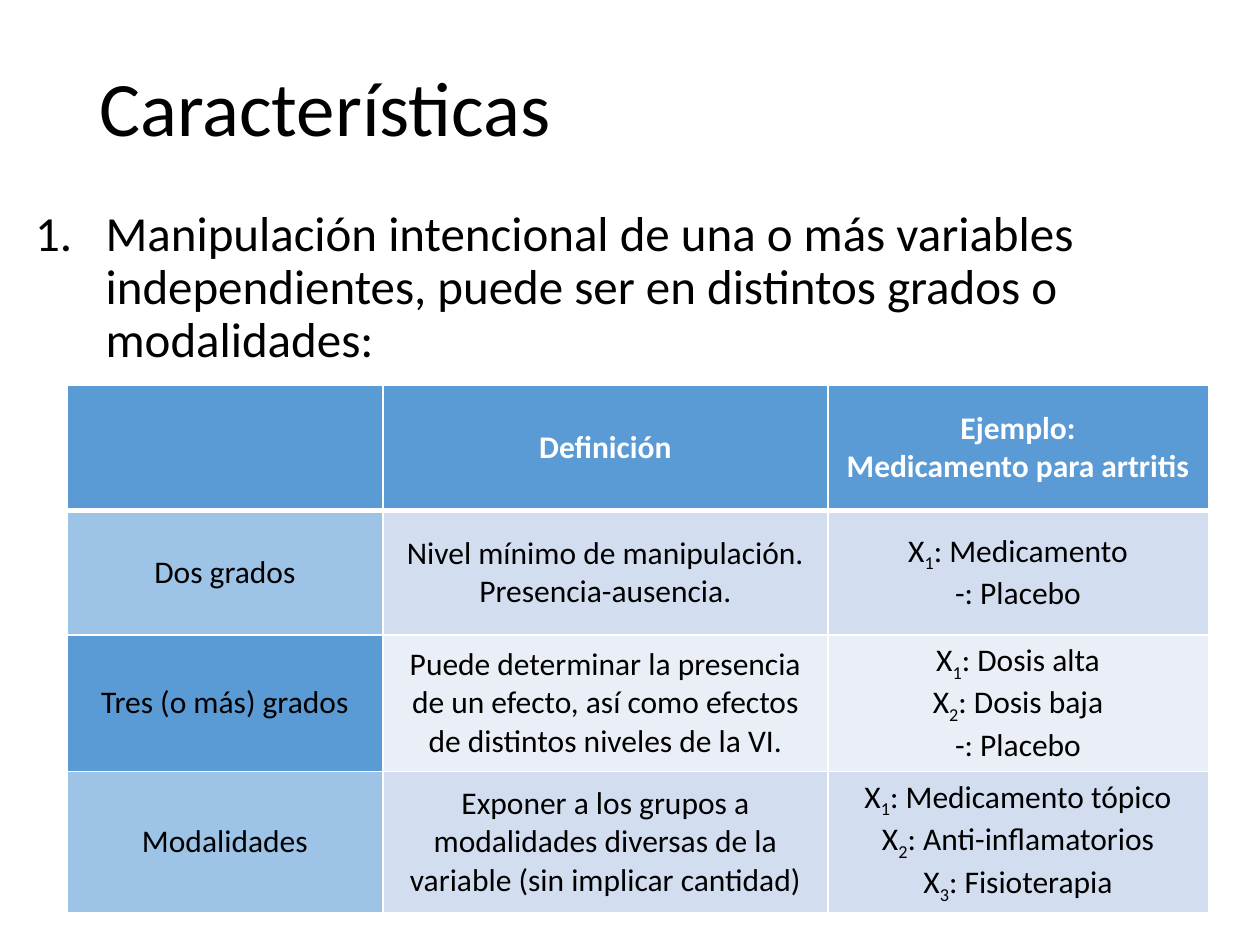
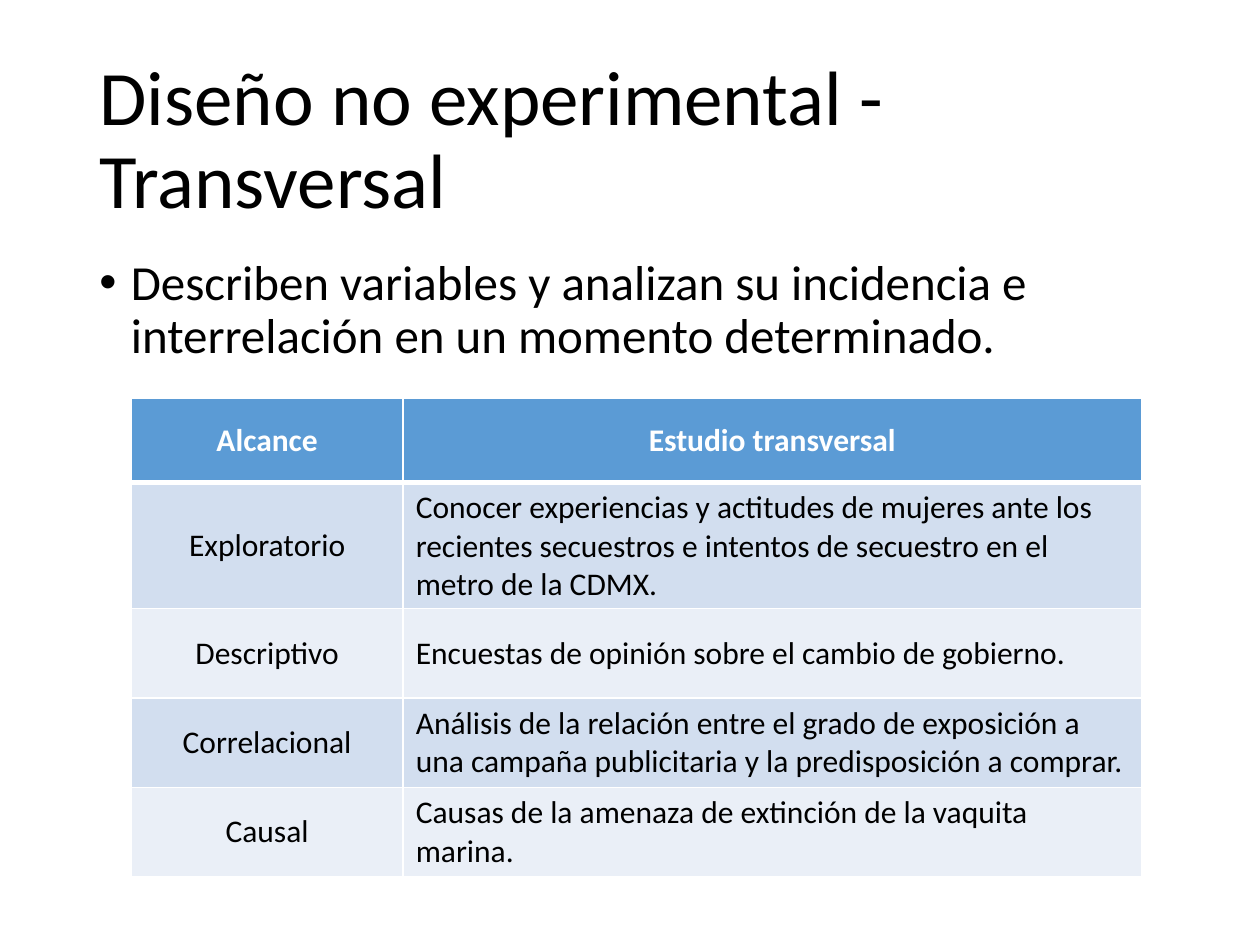
from lxml import etree
from pptx import Presentation
from pptx.dml.color import RGBColor
from pptx.enum.text import MSO_ANCHOR, PP_ALIGN
from pptx.oxml.ns import qn
from pptx.util import Inches, Pt

MIDDLE, TOP = MSO_ANCHOR.MIDDLE, MSO_ANCHOR.TOP
LEFT, CENTER = PP_ALIGN.LEFT, PP_ALIGN.CENTER

FONT = "Calibri"
BLACK = RGBColor(0x00, 0x00, 0x00)
WHITE = RGBColor(0xFF, 0xFF, 0xFF)
BLUE = RGBColor(0x5B, 0x9B, 0xD5)
LIGHT_BLUE = RGBColor(0x9D, 0xC3, 0xE6)
BAND_DARK = RGBColor(0xD2, 0xDE, 0xEF)
BAND_LIGHT = RGBColor(0xEA, 0xEF, 0xF7)

NUMBERED = ("a:buAutoNum", {"type": "arabicPeriod"})
BULLETED = ("a:buChar", {"char": "•"})

GRADES = [
    ["", "Definición", "Ejemplo:\nMedicamento para artritis"],
    ["Dos grados", "Nivel mínimo de manipulación. Presencia-ausencia.",
     "X_1_: Medicamento\n-: Placebo"],
    ["Tres (o más) grados",
     "Puede determinar la presencia de un efecto, así como efectos de "
     "distintos niveles de la VI.",
     "X_1_: Dosis alta\nX_2_: Dosis baja\n-: Placebo"],
    ["Modalidades",
     "Exponer a los grupos a modalidades diversas de la variable "
     "(sin implicar cantidad)",
     "X_1_: Medicamento tópico\nX_2_: Anti-inflamatorios\nX_3_: Fisioterapia"],
]

SCOPES = [
    ["Alcance", "Estudio transversal"],
    ["Exploratorio",
     "Conocer experiencias y actitudes de mujeres ante los recientes "
     "secuestros e intentos de secuestro en el metro de la CDMX."],
    ["Descriptivo", "Encuestas de opinión sobre el cambio de gobierno."],
    ["Correlacional",
     "Análisis de la relación entre el grado de exposición a una campaña "
     "publicitaria y la predisposición a comprar."],
    ["Causal", "Causas de la amenaza de extinción de la vaquita marina."],
]


# Text
def write_text(frame, text, size=18, color=BLACK, bold=False, align=LEFT,
               line_spacing=None, bullet=None, indent=0):
    """Write one paragraph per line; text between underscores is subscript."""
    for number, line in enumerate(text.split("\n")):
        paragraph = frame.paragraphs[0] if number == 0 else frame.add_paragraph()
        paragraph.alignment = align
        if line_spacing:
            paragraph.line_spacing = line_spacing
        if bullet:
            add_bullet(paragraph, bullet, indent)
        paragraph.font.size = Pt(size)
        for position, part in enumerate(line.split("_")):
            if not part:
                continue
            run = paragraph.add_run()
            run.text = part
            run.font.name = FONT
            run.font.size = Pt(size)
            run.font.bold = bold
            run.font.color.rgb = color
            if position % 2:
                run._r.get_or_add_rPr().set("baseline", "-25000")


def add_bullet(paragraph, bullet, indent):
    tag, attributes = bullet
    properties = paragraph._p.get_or_add_pPr()
    properties.set("marL", str(Inches(indent)))
    properties.set("indent", str(-Inches(indent)))
    font = etree.SubElement(properties, qn("a:buFont"))
    font.set("typeface", "Arial" if bullet is BULLETED else "+mj-lt")
    etree.SubElement(properties, qn(tag), attributes)


def add_text(slide, left, top, width, height, text, anchor=TOP, **text_format):
    box = slide.shapes.add_textbox(
        Inches(left), Inches(top), Inches(width), Inches(height))
    box.text_frame.word_wrap = True
    box.text_frame.vertical_anchor = anchor
    write_text(box.text_frame, text, line_spacing=0.9, **text_format)


def add_title(slide, top, text):
    add_text(slide, 0.69, top, 8.62, 1.45, text, anchor=MIDDLE, size=44)


# Tables
def set_borders(cell, bottom_width):
    properties = cell._tc.get_or_add_tcPr()
    widths = {"a:lnL": 1, "a:lnR": 1, "a:lnT": 1, "a:lnB": bottom_width}
    for tag, width in widths.items():
        line = etree.SubElement(properties, qn(tag), w=str(Pt(width)))
        fill = etree.SubElement(line, qn("a:solidFill"))
        etree.SubElement(fill, qn("a:srgbClr"), val=str(WHITE))


def add_table(slide, left, top, column_widths, row_heights, rows,
              first_column_fills, last_column_align):
    table = slide.shapes.add_table(
        len(rows), len(column_widths), Inches(left), Inches(top),
        Inches(sum(column_widths)), Inches(sum(row_heights))).table
    for column, width in zip(table.columns, column_widths):
        column.width = Inches(width)
    for row, height in zip(table.rows, row_heights):
        row.height = Inches(height)

    last_column = len(column_widths) - 1
    for row_index, texts in enumerate(rows):
        header = row_index == 0
        band = row_index % 2
        for column_index, text in enumerate(texts):
            cell = table.cell(row_index, column_index)
            set_borders(cell, bottom_width=3 if header else 1)
            cell.fill.solid()
            if header:
                color = BLUE
            elif column_index == 0:
                color = first_column_fills[band]
            else:
                color = (BAND_LIGHT, BAND_DARK)[band]
            cell.fill.fore_color.rgb = color
            cell.vertical_anchor = MIDDLE
            body_end = column_index == last_column and not header
            write_text(cell.text_frame, text, bold=header,
                       color=WHITE if header else BLACK,
                       align=last_column_align if body_end else CENTER)


# Slides
def build_characteristics(slide):
    add_text(slide, 0.18, 1.61, 9.82, 1.4,
             "Manipulación intencional de una o más variables independientes, "
             "puede ser en distintos grados o modalidades:",
             size=28, bullet=NUMBERED, indent=0.56)
    add_title(slide, 0.16, "Características")
    add_table(slide, 0.53, 3.06, [2.51, 3.53, 3.02], [0.99] * 4, GRADES,
              first_column_fills=(BLUE, LIGHT_BLUE), last_column_align=CENTER)


def build_cross_sectional(slide):
    add_title(slide, 0.4, "Diseño no experimental - Transversal")
    add_text(slide, 0.69, 2, 8.62, 1.1,
             "Describen variables y analizan su incidencia e interrelación "
             "en un momento determinado.",
             size=28, bullet=BULLETED, indent=0.25)
    add_table(slide, 1.04, 3.16, [2.16, 5.86], [0.67] + [0.71] * 4, SCOPES,
              first_column_fills=(BAND_LIGHT, BAND_DARK), last_column_align=LEFT)


def main():
    presentation = Presentation()
    presentation.slide_width = Inches(10)
    presentation.slide_height = Inches(7.5)
    blank = presentation.slide_layouts[6]
    for build in (build_characteristics, build_cross_sectional):
        build(presentation.slides.add_slide(blank))
    presentation.save("out.pptx")


if __name__ == "__main__":
    main()
